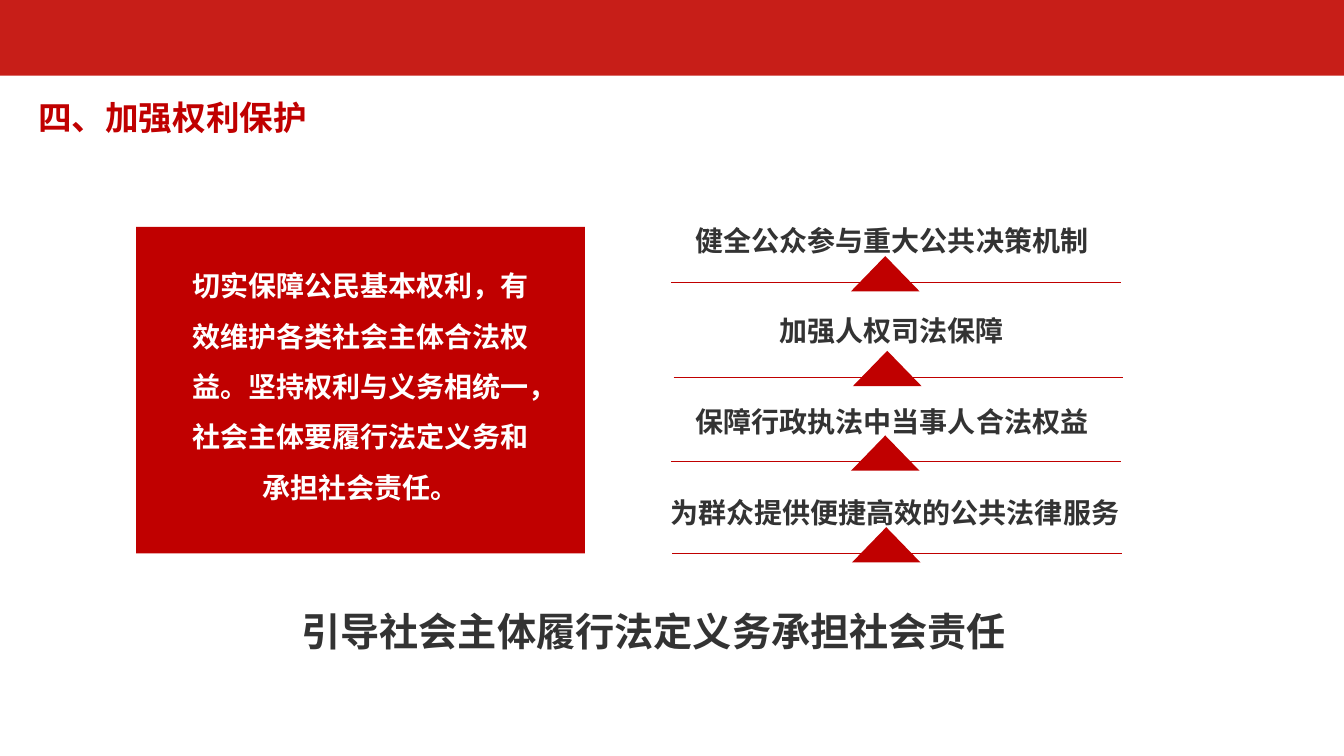
"""Build the slide on strengthening the protection of rights."""
import pptx
import pptx.dml.color
import pptx.enum.shapes
import pptx.enum.text
import pptx.oxml.ns
import pptx.util
from lxml import etree

Inches = pptx.util.Inches
Pt = pptx.util.Pt
qn = pptx.oxml.ns.qn
PRESET = pptx.enum.shapes.MSO_SHAPE
ALIGN = pptx.enum.text.PP_ALIGN
ANCHOR = pptx.enum.text.MSO_ANCHOR


def colour(value):
    return pptx.dml.color.RGBColor.from_string(value)


class RightsSlide:
    FONT = "Noto Sans CJK SC"
    RED = "C00000"
    BANNER = "C71E18"
    DARK = "333333"
    WHITE = "FFFFFF"

    def __init__(self, slide):
        self.shapes = slide.shapes

    def block(self, preset, left, top, width, height, fill):
        block = self.shapes.add_shape(
            preset, Inches(left), Inches(top), Inches(width), Inches(height))
        block.shadow.inherit = False
        block.fill.solid()
        block.fill.fore_color.rgb = colour(fill)
        block.line.fill.background()

    def rule(self, left, y, width):
        rule = self.shapes.add_connector(
            pptx.enum.shapes.MSO_CONNECTOR.STRAIGHT,
            Inches(left), Inches(y), Inches(left + width), Inches(y))
        rule.line.color.rgb = colour(self.RED)
        rule.line.width = Pt(0.5)
        etree.SubElement(rule._element.spPr, qn("a:effectLst"))

    def text(self, words, left, top, width, height, size, ink,
             align=ALIGN.LEFT, anchor=ANCHOR.MIDDLE, spacing=None, wrap=True):
        frame = self.shapes.add_textbox(
            Inches(left), Inches(top), Inches(width), Inches(height)).text_frame
        frame.word_wrap = wrap
        frame.vertical_anchor = anchor
        frame.margin_top = frame.margin_bottom = 0
        paragraph = frame.paragraphs[0]
        paragraph.alignment = align
        paragraph.line_spacing = spacing
        run = paragraph.add_run()
        run.text = words
        run.font.name = self.FONT
        run.font.size = Pt(size)
        run.font.bold = True
        run.font.color.rgb = colour(ink)
        east_asian = etree.SubElement(run.font._element, qn("a:ea"))
        east_asian.set("typeface", self.FONT)


def main():
    deck = pptx.Presentation()
    deck.slide_width = Inches(13.33)
    deck.slide_height = Inches(7.5)
    page = RightsSlide(deck.slides.add_slide(deck.slide_layouts[6]))

    page.block(PRESET.RECTANGLE, 0, 0, 13.33, 0.75, page.BANNER)
    page.text("四、加强权利保护", 0.28, 0.88, 2.89, 0.56, 24, page.RED, wrap=False)

    page.block(PRESET.RECTANGLE, 1.35, 2.25, 4.45, 3.24, page.RED)
    page.text(
        "切实保障公民基本权利，有效维护各类社会主体合法权益。"
        "坚持权利与义务相统一，社会主体要履行法定义务和承担社会责任。",
        1.71, 2.5, 3.73, 2.9, 20, page.WHITE,
        align=ALIGN.CENTER, anchor=ANCHOR.TOP, spacing=Pt(36))
    page.text("引导社会主体履行法定义务承担社会责任",
              2.89, 5.97, 7.55, 0.57, 28, page.DARK)

    measures = [
        ("健全公众参与重大公共决策机制", 6.8, 4.18, 6.66, 2.8),
        ("加强人权司法保障", 7.63, 2.56, 6.68, 3.74),
        ("保障行政执法中当事人合法权益", 6.8, 4.21, 6.66, 4.58),
        ("为群众提供便捷高效的公共法律服务", 6.55, 4.71, 6.67, 5.49),
    ]
    for step, (measure, left, width, rule_left, rule_y) in enumerate(measures):
        page.text(measure, left, 2.16 + 0.9 * step, width, 0.44, 20, page.DARK)
        page.rule(rule_left, rule_y, 4.46)
        page.block(PRESET.ISOSCELES_TRIANGLE,
                   rule_left + 1.78, rule_y - 0.26, 0.68, 0.35, page.RED)

    deck.save("out.pptx")


if __name__ == "__main__":
    main()
